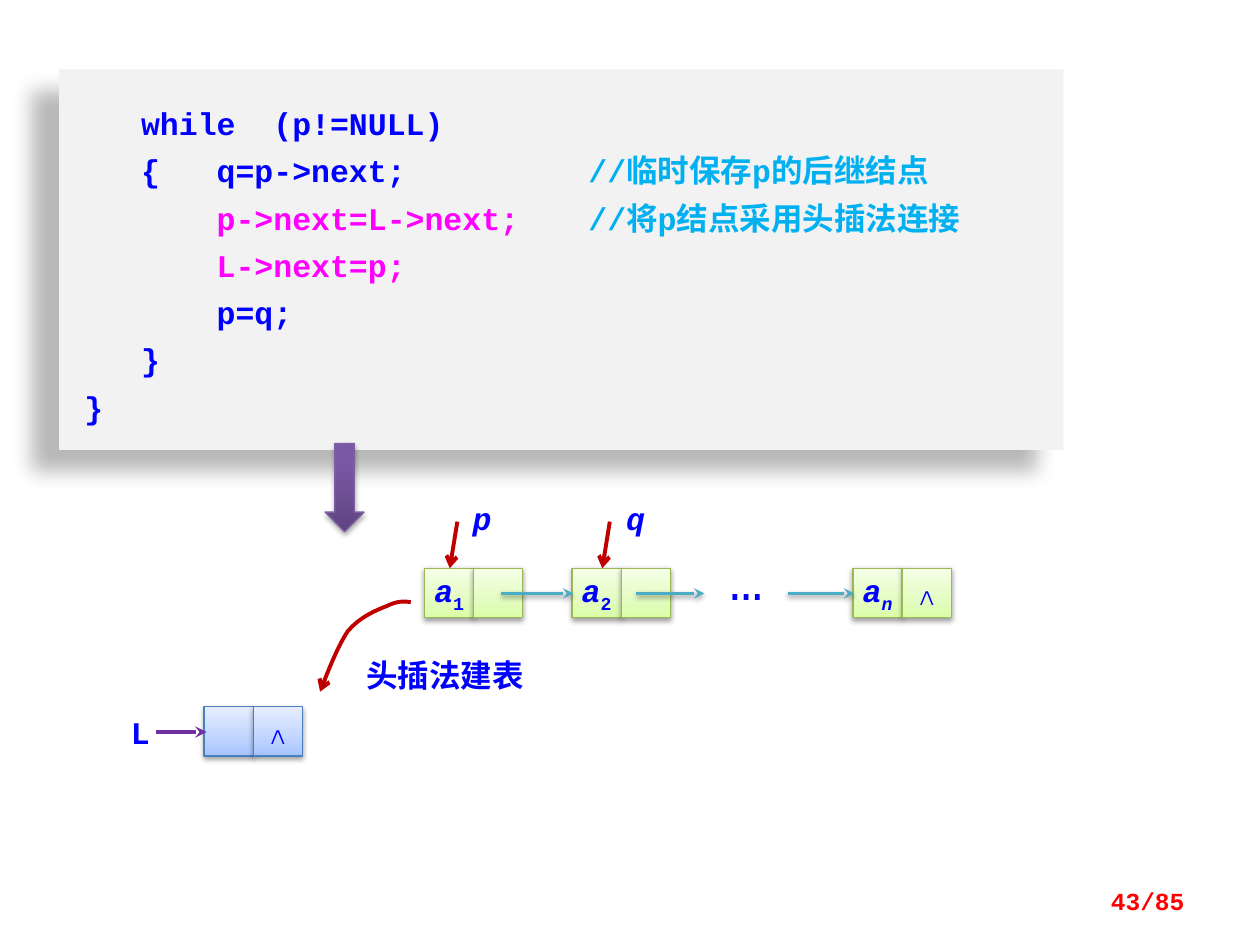
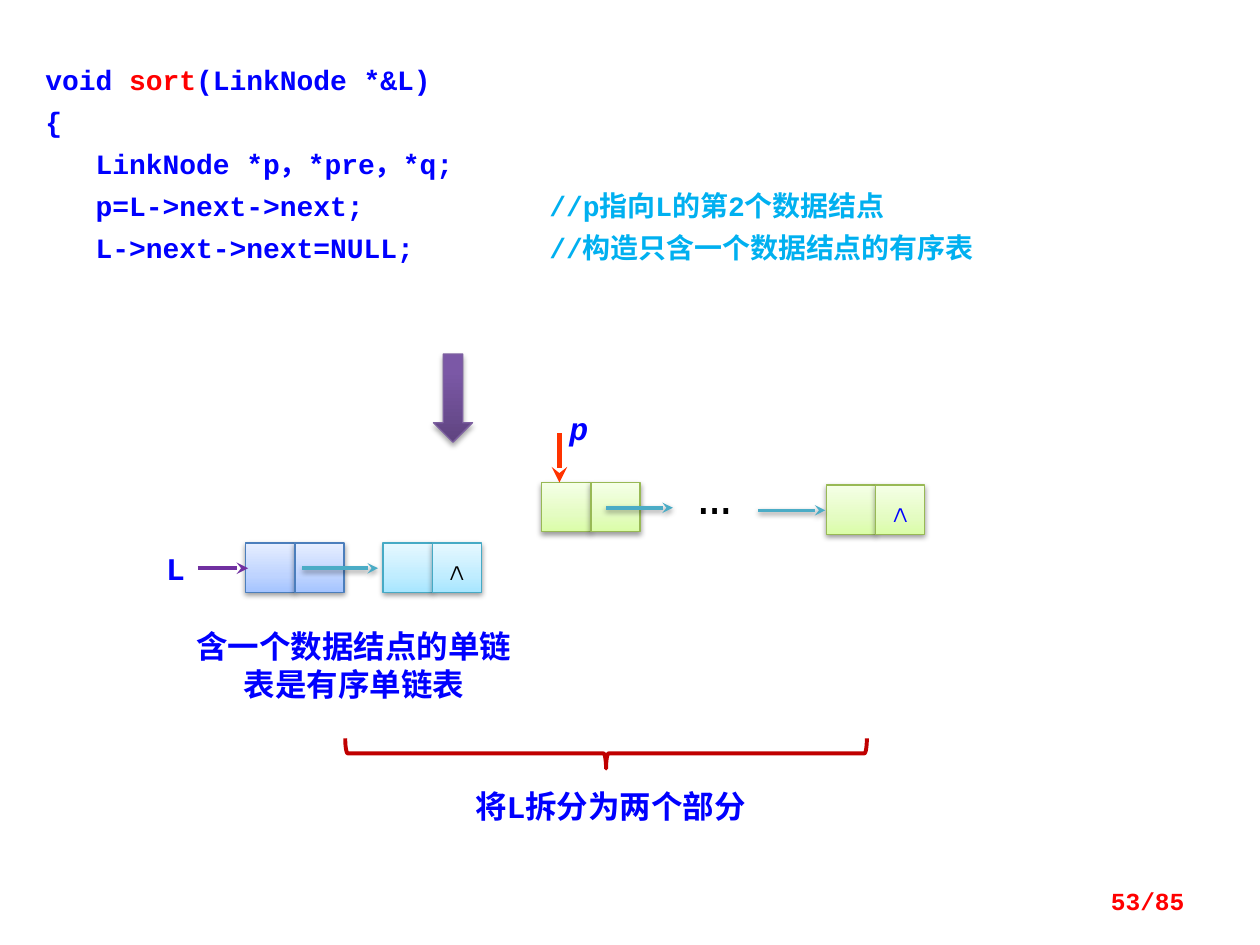
from copy import deepcopy

from lxml.etree import SubElement
from pptx import Presentation
from pptx.dml.color import RGBColor
from pptx.enum.shapes import MSO_CONNECTOR, MSO_SHAPE
from pptx.enum.text import MSO_ANCHOR, PP_ALIGN
from pptx.oxml.ns import qn
from pptx.util import Inches, Pt

BLUE = RGBColor(0x00, 0x00, 0xFF)
SKY = RGBColor(0x00, 0xB0, 0xF0)
MAGENTA = RGBColor(0xFF, 0x00, 0xFF)
RED = RGBColor(0xFF, 0x00, 0x00)
DARK_RED = RGBColor(0xC0, 0x00, 0x00)
ORANGE = RGBColor(0xFF, 0x33, 0x00)
PURPLE = RGBColor(0x70, 0x30, 0xA0)
TEAL = RGBColor(0x4B, 0xAC, 0xC6)
GREY = RGBColor(0xF2, 0xF2, 0xF2)
WHITE = RGBColor(0xFF, 0xFF, 0xFF)
BLACK = RGBColor(0x00, 0x00, 0x00)
CODE_FONT, HAN_FONT = "Courier New", "Noto Sans CJK SC"

# Shadows: opacity %, blur pt, distance pt, direction in degrees
PANEL_SHADOW = (28, 11.8, 19.7, 141)
CELL_SHADOW = (38, 3.1, 1.6, 90)
STEP_SHADOW = (35, 3.1, 1.8, 90)

# Block themes: gradient stops from the bottom up, edge colour, shadow
HEAD = ([(0, "A4C4FF"), (0.35, "BFD4FF"), (1, "E6EEFF")], "4B7EBC", CELL_SHADOW)
DATA = ([(0, "DAFDA7"), (0.35, "E4FCC2"), (1, "F5FFE7")], "98B955", CELL_SHADOW)
SORTED = ([(0, "A7E6FF"), (0.35, "C1EDFF"), (1, "E7F8FF")], "46AAC5", CELL_SHADOW)
STEP = ([(0, "5F4480"), (0.8, "7B58A6"), (1, "7C57A8")], "7D60A0", STEP_SHADOW)

# Arrow kinds: colour, width pt, arrowhead, shadow
LINK = (TEAL, 2, "stealth", CELL_SHADOW)
LIST_HEAD = (PURPLE, 2.25, "stealth", None)
POINTER = (DARK_RED, 2.25, "arrow", None)
BOLD_POINTER = (ORANGE, 3, "stealth", None)

CELL = 0.39
COMMENT_COLUMN = 4
LEFT, CENTER, RIGHT = PP_ALIGN.LEFT, PP_ALIGN.CENTER, PP_ALIGN.RIGHT
END = [("∧", BLUE, "")]


def write(frame, lines, size=18, align=LEFT, spacing=None):
    """Fill a frame with lines of (text, colour, flags): i italic, s subscript, l light."""
    for number, runs in enumerate(lines):
        paragraph = frame.add_paragraph() if number else frame.paragraphs[0]
        if any("\t" in text for text, _, _ in runs):
            tabs = SubElement(paragraph._p.get_or_add_pPr(), qn("a:tabLst"))
            SubElement(tabs, qn("a:tab"), pos=str(Inches(COMMENT_COLUMN)), algn="l")
        paragraph.alignment = align
        paragraph.line_spacing = spacing
        for text, color, flags in runs:
            run = paragraph.add_run()
            run.text = text
            run.font.name = CODE_FONT
            run.font.size = Pt(size)
            run.font.bold = "l" not in flags
            run.font.italic = "i" in flags
            run.font.color.rgb = color
            properties = run.font._element
            if max(text) >= "一":
                SubElement(properties, qn("a:ea"), typeface=HAN_FONT)
            if "s" in flags:
                properties.set("baseline", "-25000")


def finish(shape, shadow=None, head=None):
    """Replace the theme shadow and add an arrowhead, once the line is set."""
    properties = shape._element.spPr
    if head:
        SubElement(properties.find(qn("a:ln")), qn("a:tailEnd"), type=head)
    effects = SubElement(properties, qn("a:effectLst"))
    if shadow:
        opacity, blur, distance, direction = shadow
        outer = SubElement(effects, qn("a:outerShdw"), blurRad=str(Pt(blur)),
                           dist=str(Pt(distance)), dir=str(direction * 60000),
                           algn="ctr", rotWithShape="0")
        color = SubElement(outer, qn("a:srgbClr"), val="000000")
        SubElement(color, qn("a:alpha"), val=str(opacity * 1000))


head_insertion = {
    "page": "43/85",
    "panel": (0.47, 0.55, 7.97, 3.02), "panel fill": GREY,
    "panel shadow": PANEL_SHADOW, "padding": 0.2, "code size": 18, "code pitch": 27,
    "code": [
        [("   while  (p!=NULL)", BLUE, "")],
        [("   {   q=p->next;\t", BLUE, ""), ("//临时保存p的后继结点", SKY, "")],
        [("       ", BLUE, ""), ("p->next=L->next;\t", MAGENTA, ""),
         ("//将p结点采用头插法连接", SKY, "")],
        [("       L->next=p;", MAGENTA, "")],
        [("       p=q;", BLUE, "")],
        [("   }", BLUE, "")],
        [("}", BLUE, "")],
    ],
    "step": (2.58, 3.52),
    "nodes": [
        (1.62, 5.61, HEAD, [], END),
        (3.37, 4.51, DATA, [("a", BLUE, "i"), ("1", BLUE, "s")], []),
        (4.54, 4.51, DATA, [("a", BLUE, "i"), ("2", BLUE, "s")], []),
        (6.77, 4.51, DATA, [("a", BLUE, "i"), ("n", BLUE, "is")], END),
    ],
    "arrows": [
        (1.24, 5.81, 1.64, 5.81, LIST_HEAD),
        (3.98, 4.71, 4.55, 4.71, LINK),
        (5.05, 4.71, 5.59, 4.71, LINK),
        (6.25, 4.71, 6.78, 4.71, LINK),
        (3.63, 4.14, 3.57, 4.51, POINTER),
        (4.84, 4.14, 4.78, 4.51, POINTER),
    ],
    "labels": [
        (0.94, 5.61, 0.29, 0.4, "L", BLUE, "", 18, LEFT),
        (5.69, 4.27, 0.79, 0.63, "…", BLUE, "l", 32, LEFT),
        (3.55, 3.91, 0.55, 0.4, "p", BLUE, "i", 18, CENTER),
        (4.77, 3.91, 0.55, 0.4, "q", BLUE, "i", 18, CENTER),
        (2.81, 5.16, 2.05, 0.4, "头插法建表", BLUE, "", 18, LEFT),
    ],
}

list_split = {
    "page": "53/85",
    "panel": (0.16, 0.31, 9.69, 2.26), "panel fill": WHITE,
    "panel shadow": None, "padding": 0.12, "code size": 16, "code pitch": 24,
    "code": [
        [("void ", BLUE, ""), ("sort", RED, ""), ("(LinkNode *&L)", BLUE, "")],
        [("{", BLUE, "")],
        [("   LinkNode *p，*pre，*q;", BLUE, "")],
        [("   p=L->next->next;\t", BLUE, ""), ("//p指向L的第2个数据结点", SKY, "")],
        [("   L->next->next=NULL;\t", BLUE, ""),
         ("//构造只含一个数据结点的有序表", SKY, "")],
    ],
    "step": (3.44, 2.81),
    "nodes": [
        (1.95, 4.31, HEAD, [], []),
        (3.04, 4.31, SORTED, [], [("∧", BLACK, "")]),
        (4.3, 3.83, DATA, [], []),
        (6.56, 3.85, DATA, [], END),
    ],
    "arrows": [
        (1.57, 4.51, 1.97, 4.51, LIST_HEAD),
        (2.4, 4.51, 3, 4.51, LINK),
        (4.81, 4.03, 5.34, 4.03, LINK),
        (6.02, 4.05, 6.55, 4.05, LINK),
        (4.44, 3.44, 4.44, 3.83, BOLD_POINTER),
    ],
    "labels": [
        (1.22, 4.31, 0.61, 0.4, "L", BLUE, "", 18, LEFT),
        (4.42, 3.2, 0.39, 0.4, "p", BLUE, "i", 18, LEFT),
        (5.44, 3.59, 0.79, 0.63, "…", BLACK, "l", 32, LEFT),
        (1.41, 4.93, 2.8, 0.71, "含一个数据结点的单链表是有序单链表", BLUE, "", 18, CENTER),
        (3.44, 6.2, 2.81, 0.4, "将L拆分为两个部分", BLUE, "", 18, CENTER),
    ],
}

deck = Presentation()
deck.slide_width, deck.slide_height = Inches(10), Inches(7.5)
slides = []

for content in (head_insertion, list_split):
    slide = deck.slides.add_slide(deck.slide_layouts[6])
    slides.append(slide)

    panel = slide.shapes.add_shape(MSO_SHAPE.RECTANGLE, *map(Inches, content["panel"]))
    panel.fill.solid()
    panel.fill.fore_color.rgb = content["panel fill"]
    panel.line.fill.background()
    finish(panel, content["panel shadow"])
    code = panel.text_frame
    code.word_wrap = True
    code.vertical_anchor = MSO_ANCHOR.TOP
    code.margin_left, code.margin_right = Inches(0.2), Inches(0.1)
    code.margin_top = code.margin_bottom = Inches(content["padding"])
    write(code, content["code"], content["code size"], spacing=Pt(content["code pitch"]))

    blocks = [(MSO_SHAPE.DOWN_ARROW, *content["step"], 0.31, 0.7, STEP, [])]
    for left, top, theme, value, successor in content["nodes"]:
        for column, runs in enumerate((value, successor)):
            blocks.append((MSO_SHAPE.RECTANGLE, left + column * CELL, top,
                           CELL, CELL, theme, runs))
    for preset, left, top, width, height, (stops, edge, shadow), runs in blocks:
        block = slide.shapes.add_shape(preset, Inches(left), Inches(top),
                                       Inches(width), Inches(height))
        block.fill.gradient()
        block.fill.gradient_angle = 90
        stop_list = block._element.spPr.find(".//" + qn("a:gsLst"))
        stop_list.insert(1, deepcopy(stop_list[0]))
        for stop, (position, color) in zip(block.fill.gradient_stops, stops):
            stop.position = position
            stop.color.rgb = RGBColor.from_string(color)
        block.line.color.rgb = RGBColor.from_string(edge)
        block.line.width = Pt(0.75)
        finish(block, shadow)
        if runs:
            block.text_frame.word_wrap = False
            block.text_frame.vertical_anchor = MSO_ANCHOR.MIDDLE
            write(block.text_frame, [runs], align=CENTER)

    for *ends, (color, width, head, shadow) in content["arrows"]:
        arrow = slide.shapes.add_connector(MSO_CONNECTOR.STRAIGHT, *map(Inches, ends))
        arrow.line.color.rgb = color
        arrow.line.width = Pt(width)
        finish(arrow, shadow, head)

    page = (7.17, 6.95, 2.33, 0.4, content["page"], RED, "", 14, RIGHT)
    for *place, text, color, flags, size, align in content["labels"] + [page]:
        label = slide.shapes.add_textbox(*map(Inches, place)).text_frame
        label.word_wrap = True
        label.vertical_anchor = MSO_ANCHOR.MIDDLE if align == RIGHT else MSO_ANCHOR.TOP
        write(label, [[(text, color, flags)]], size, align)

# Curved arrow from the first data node down to the head node
STEPS = 8
bends = [
    [(3.26, 4.78), (3.21, 4.77), (3.15, 4.77), (3.07, 4.81)],
    [(3.07, 4.81), (2.99, 4.84), (2.85, 4.9), (2.76, 5.01)],
    [(2.76, 5.01), (2.68, 5.13), (2.61, 5.31), (2.54, 5.49)],
]
curve = []
for bend in bends:
    for t in (step / STEPS for step in range(1, STEPS + 1)):
        weights = ((1 - t) ** 3, 3 * t * (1 - t) ** 2, 3 * t ** 2 * (1 - t), t ** 3)
        curve.append([Inches(sum(w * point[axis] for w, point in zip(weights, bend)))
                      for axis in (0, 1)])
builder = slides[0].shapes.build_freeform(*map(Inches, bends[0][0]))
builder.add_line_segments(curve, close=False)
insertion = builder.convert_to_shape()

brace = slides[1].shapes.add_shape(MSO_SHAPE.RIGHT_BRACE, Inches(4.69), Inches(3.91),
                                   Inches(0.24), Inches(4.14))
brace.rotation = 90

for outline, head in ((insertion, "arrow"), (brace, None)):
    outline.fill.background()
    outline.line.color.rgb = DARK_RED
    outline.line.width = Pt(2.25)
    finish(outline, head=head)

deck.save("out.pptx")
